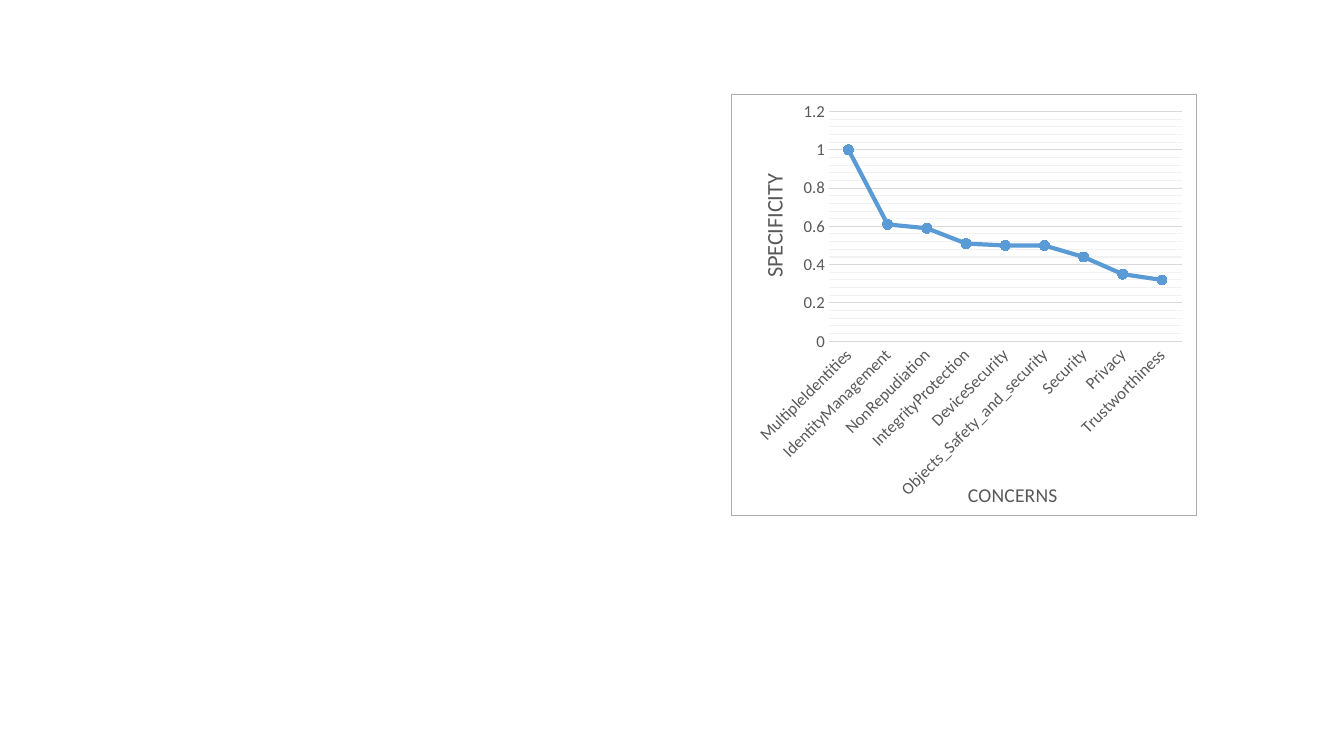
from lxml import etree
from pptx import Presentation
from pptx.chart.data import CategoryChartData
from pptx.dml.color import RGBColor
from pptx.enum.chart import XL_CHART_TYPE, XL_MARKER_STYLE, XL_TICK_MARK
from pptx.oxml import parse_xml
from pptx.oxml.ns import nsdecls, qn
from pptx.util import Inches, Pt

LINE = XL_CHART_TYPE.LINE_MARKERS
DOT = XL_MARKER_STYLE.CIRCLE
NO_TICK = XL_TICK_MARK.NONE
FONT = "Calibri"
WIDE, HIGH = Inches(13.33), Inches(7.5)
HEX = {"text": "595959", "grid": "D9D9D9", "minor": "F2F2F2",
       "edge": "AFABAB", "data": "5B9BD5", "paper": "FFFFFF"}
SCORES = {
    "MultipleIdentities": 1, "IdentityManagement": 0.61,
    "NonRepudiation": 0.59, "IntegrityProtection": 0.51,
    "DeviceSecurity": 0.5, "Objects_Safety_and_security": 0.5,
    "Security": 0.44, "Privacy": 0.35, "Trustworthiness": 0.32,
}


def color(name):
    return RGBColor.from_string(HEX[name])


def style_font(font, size):
    font.name, font.size, font.bold = FONT, Pt(size), False
    font.color.rgb = color("text")


def style_line(line, name, width=0.75):
    line.color.rgb = color(name)
    line.width = Pt(width)


def set_layout(parent, index, inner=False, **shares):
    """Place a chart part by shares of the chart's size."""
    for old in parent.findall(qn("c:layout")):
        parent.remove(old)
    layout = etree.Element(qn("c:layout"))
    manual = etree.SubElement(layout, qn("c:manualLayout"))
    rules = {"layoutTarget": "inner"} if inner else {}
    rules.update(xMode="edge", yMode="edge", **shares)
    for tag, val in rules.items():
        etree.SubElement(manual, qn("c:" + tag)).set("val", str(val))
    parent.insert(index, layout)


def make_props(edge, fill=""):
    """Build shape properties with a thin line and an optional fill."""
    paint = '<a:solidFill><a:srgbClr val="{}"/></a:solidFill>'
    back = paint.format(HEX[fill]) if fill else ""
    return parse_xml(
        f'<c:spPr {nsdecls("c", "a")}>{back}<a:ln w="{Pt(0.75)}">'
        f'{paint.format(HEX[edge])}</a:ln></c:spPr>')


def turn(body, angle):
    body.set("rot", str(angle * 60000))
    body.set("vert", "horz")


def style_axis(axis, text, size, angle, x, y):
    axis.major_tick_mark = axis.minor_tick_mark = NO_TICK
    style_font(axis.tick_labels.font, 12)
    title = axis.axis_title
    run = title.text_frame.paragraphs[0].add_run()
    run.text = text
    style_font(run.font, size)
    turn(title.element.find(".//" + qn("a:bodyPr")), angle)
    set_layout(title.element, 1, x=x, y=y)


def style_values(axis, root):
    axis.minimum_scale, axis.maximum_scale = 0, 1.2
    axis.major_unit, axis.minor_unit = 0.2, 0.04
    axis.has_major_gridlines = axis.has_minor_gridlines = True
    style_line(axis.major_gridlines.format.line, "grid")
    root.find(".//" + qn("c:minorGridlines")).append(make_props("minor"))
    axis.format.line.fill.background()
    axis.tick_labels.number_format = "General"
    axis.tick_labels.number_format_is_linked = False


def style_series(series):
    series.smooth = False
    style_line(series.format.line, "data", 3)
    mark = series.marker
    mark.style, mark.size = DOT, 7
    mark.format.fill.solid()
    mark.format.fill.fore_color.rgb = color("data")
    style_line(mark.format.line, "data")


def add_scores(slide, left, top, width, height):
    data = CategoryChartData()
    data.categories = list(SCORES)
    data.add_series("Series 1", list(SCORES.values()))
    chart = slide.shapes.add_chart(
        LINE, int(left * WIDE), int(top * HIGH),
        int(width * WIDE), int(height * HIGH), data).chart
    chart.has_title = chart.has_legend = False
    style_font(chart.font, 10)
    root = chart.element
    root.find(qn("c:chart")).addnext(make_props("edge", "paper"))
    plot = chart.plots[0]
    plot.vary_by_categories = False
    style_series(plot.series[0])
    set_layout(root.find(".//" + qn("c:plotArea")), 0, inner=True,
               x=0.209, y=0.041, w=0.758, h=0.545)
    cats, vals = chart.category_axis, chart.value_axis
    style_axis(cats, "CONCERNS", 14, 0, 0.5, 0.91)
    style_axis(vals, "SPECIFICITY", 16, -90, 0.05, 0.18)
    style_line(cats.format.line, "grid")
    labels = root.find(".//" + qn("c:catAx")).find(qn("c:txPr"))
    turn(labels.find(qn("a:bodyPr")), -45)
    style_values(vals, root)


def main():
    deck = Presentation()
    deck.slide_width, deck.slide_height = WIDE, HIGH
    slide = deck.slides.add_slide(deck.slide_layouts[6])
    add_scores(slide, 0.544, 0.124, 0.347, 0.559)
    deck.save("out.pptx")


if __name__ == "__main__":
    main()
